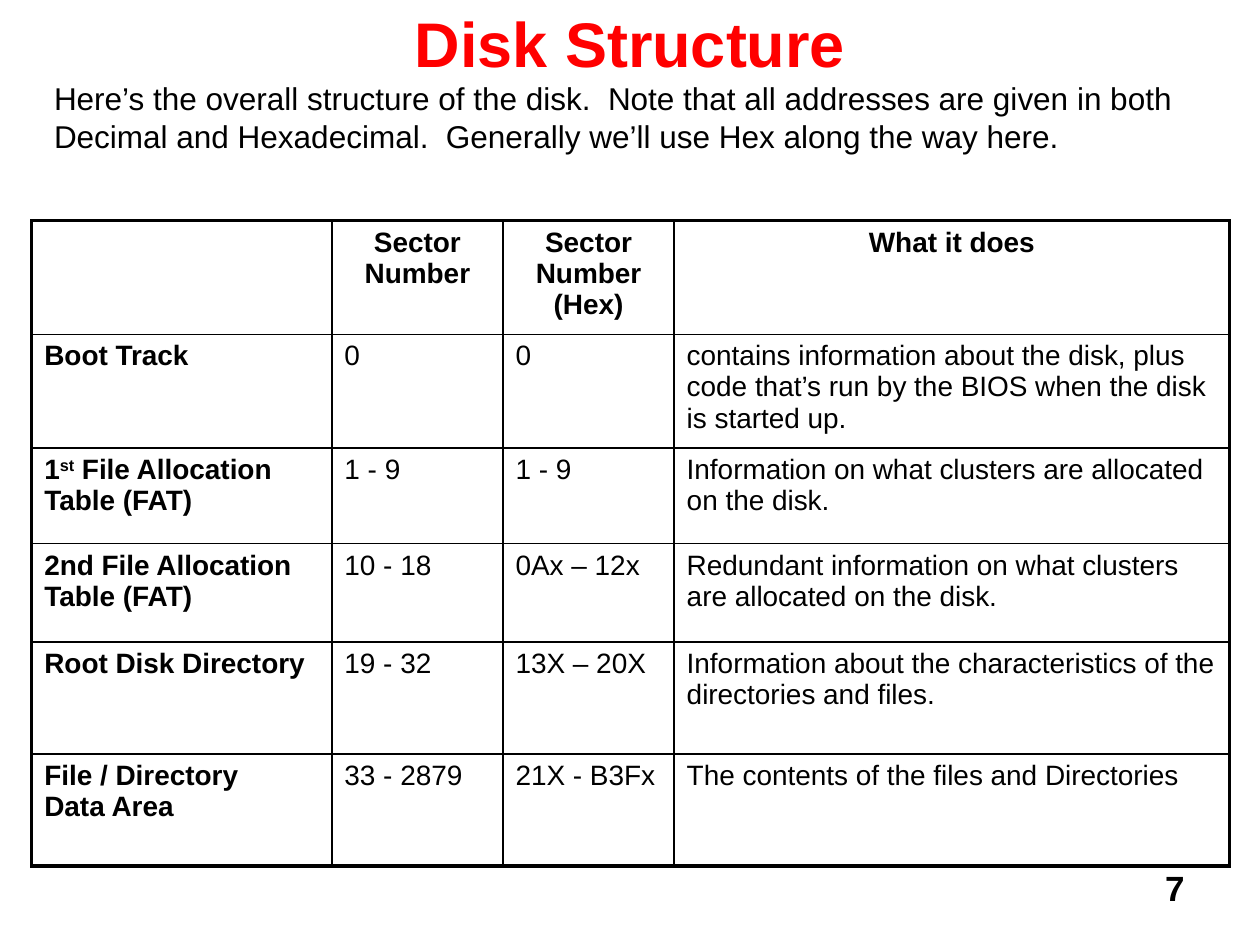
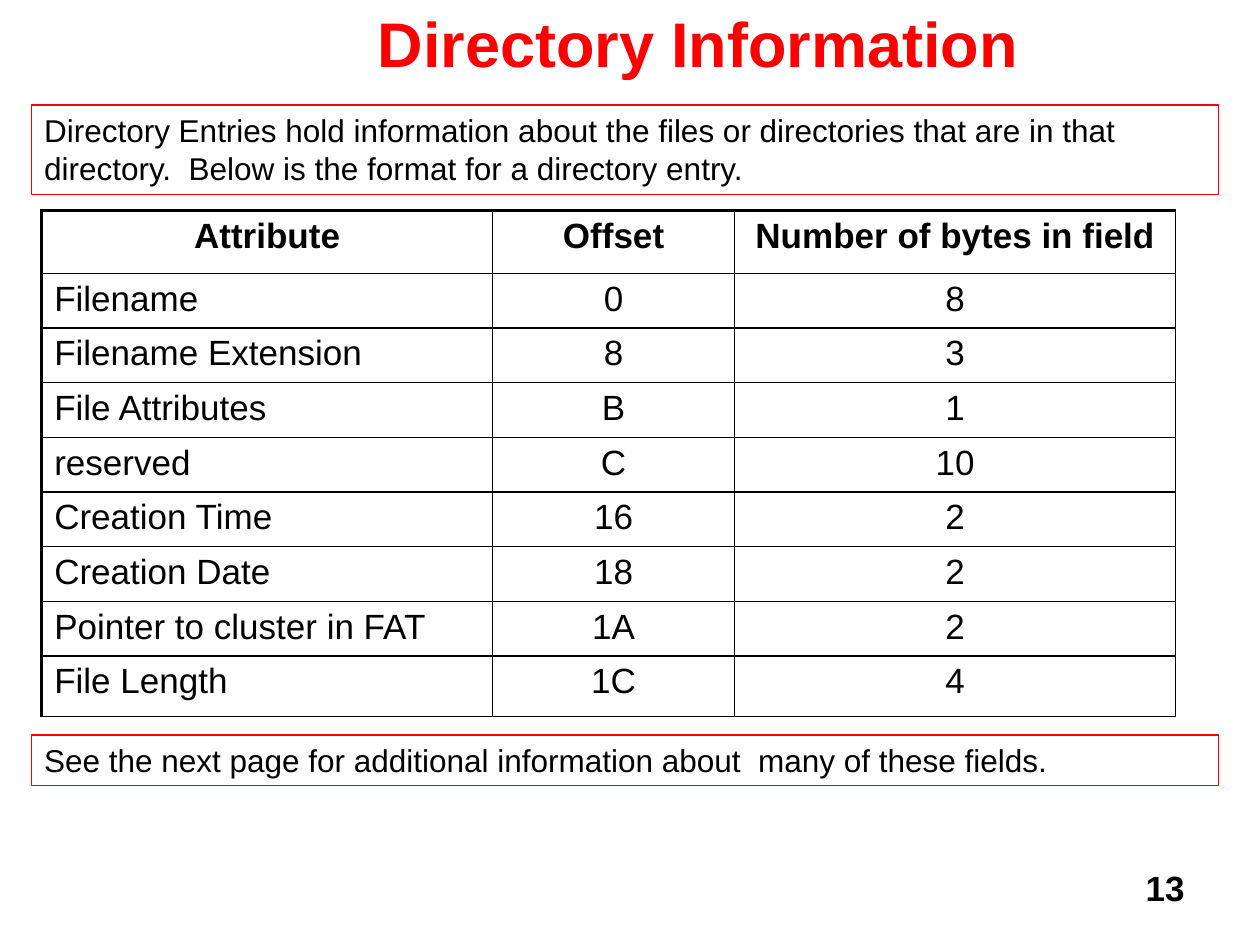
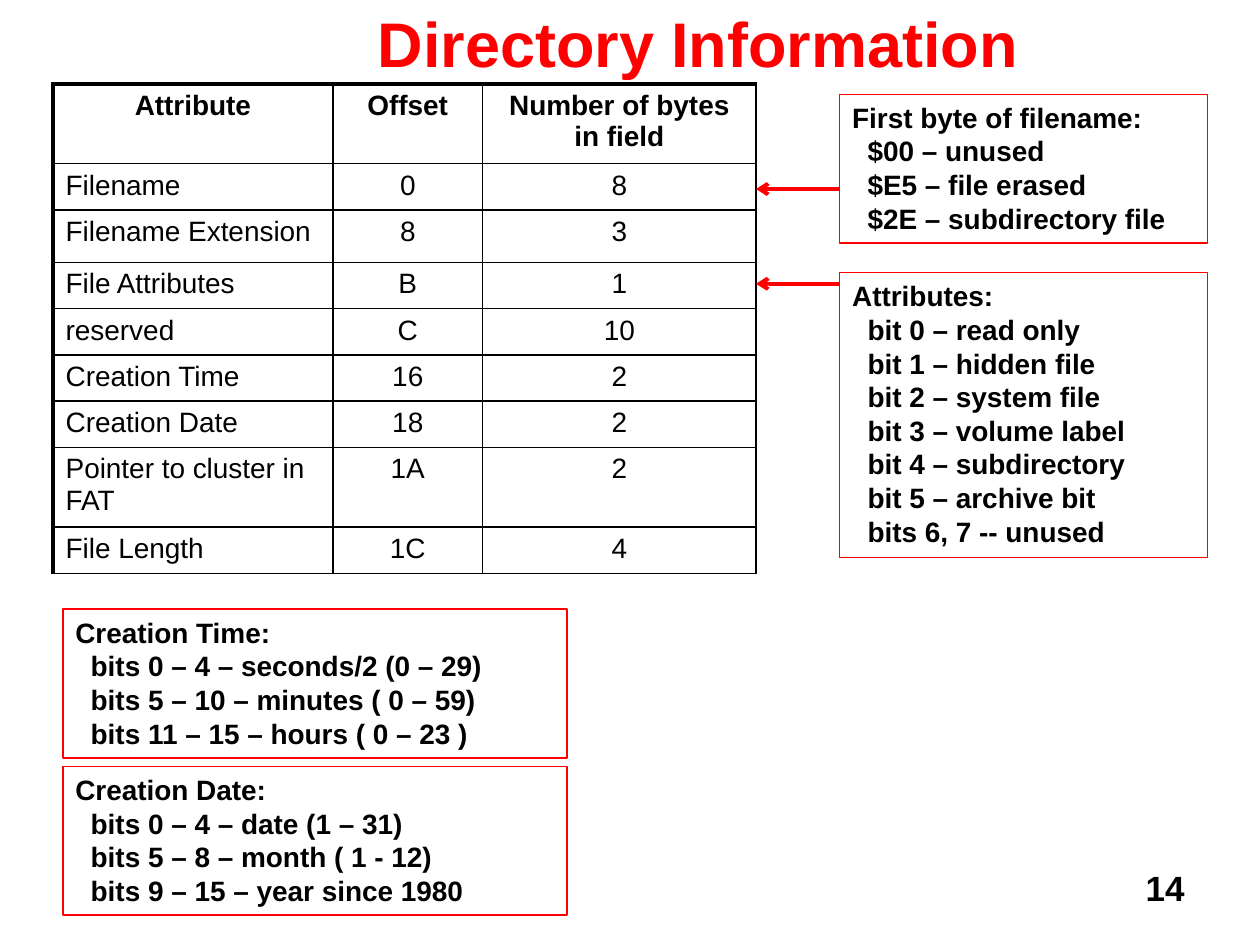
from dataclasses import dataclass

import lxml.etree
import pptx
import pptx.dml.color
import pptx.enum.shapes
import pptx.enum.text
import pptx.oxml
import pptx.oxml.ns
import pptx.presentation
import pptx.shapes.autoshape
import pptx.slide
import pptx.table
import pptx.text.text
import pptx.util

Cm = pptx.util.Cm
Pt = pptx.util.Pt
Align = pptx.enum.text.PP_ALIGN
Anchor = pptx.enum.text.MSO_ANCHOR
qn = pptx.oxml.ns.qn


@dataclass(frozen=True)
class Theme:
    font: str = "Arial"
    ink: str = "000000"
    accent: str = "FF0000"
    title_size: float = 36
    large_size: float = 20
    body_size: float = 18
    small_size: float = 16
    box_line: float = 0.75
    arrow_line: float = 2.25
    thin_border: float = 1
    thick_border: float = 2.25
    list_indent: float = 0.31


THEME = Theme()


@dataclass(frozen=True)
class Area:
    left: float
    top: float
    width: float
    height: float

    def lengths(self) -> tuple[pptx.util.Length, ...]:
        return Cm(self.left), Cm(self.top), Cm(self.width), Cm(self.height)


@dataclass(frozen=True)
class Callout:
    area: Area
    lines: tuple[str, ...]
    size: float = THEME.small_size
    bold: bool = True


@dataclass(frozen=True)
class Grid:
    left: float
    top: float
    columns: tuple[float, ...]
    rows: tuple[float, ...]
    cells: tuple[tuple[str, ...], ...]
    size: float
    thick_sides: str
    centered_columns: tuple[int, ...] = ()
    bold_columns: tuple[int, ...] = ()


DISK_AREAS = (
    ("", "Sector Number", "Sector Number (Hex)", "What it does"),
    ("Boot Track", "0", "0",
     "contains information about the disk, plus code that’s run by the BIOS when the disk is started up."),
    ("1^st^ File Allocation Table (FAT)", "1 - 9", "1 - 9",
     "Information on what clusters are allocated on the disk."),
    ("2nd File Allocation Table (FAT)", "10 - 18", "0Ax – 12x",
     "Redundant information on what clusters are allocated on the disk."),
    ("Root Disk Directory", "19 - 32", "13X – 20X",
     "Information about the characteristics of the directories and files."),
    ("File / Directory\nData Area", "33 - 2879", "21X - B3Fx",
     "The contents of the files and Directories"),
)

DIRECTORY_FIELDS = (
    ("Attribute", "Offset", "Number of bytes in field"),
    ("Filename", "0", "8"),
    ("Filename Extension", "8", "3"),
    ("File Attributes", "B", "1"),
    ("reserved", "C", "10"),
    ("Creation Time", "16", "2"),
    ("Creation Date", "18", "2"),
    ("Pointer to cluster in FAT", "1A", "2"),
    ("File Length", "1C", "4"),
)

DISK_GRID = Grid(
    0.64, 4.45, (6.05, 3.45, 3.45, 11.2), (2.29, 2.29, 1.93, 1.98, 2.26, 2.26),
    DISK_AREAS, THEME.small_size, "LRTB", bold_columns=(0,),
)
WIDE_GRID = Grid(
    0.84, 4.24, (9.09, 4.88, 8.89), (1.27, *[1.1] * 7, 1.22),
    DIRECTORY_FIELDS, THEME.large_size, "LT", centered_columns=(1, 2),
)
COMPACT_GRID = Grid(
    1.07, 1.69, (5.64, 3.02, 5.51), (1.6, 0.93, 1.06, *[0.93] * 4, 1.6, 0.93),
    DIRECTORY_FIELDS, THEME.small_size, "LT", centered_columns=(1, 2),
)

OVERVIEW_CALLOUTS = (
    Callout(Area(0.64, 2.12, 23.93, 1.8),
            ("Directory Entries hold information about the files or directories that are in that directory.  "
             "Below is the format for a directory entry.",), THEME.body_size, False),
    Callout(Area(0.64, 14.82, 23.93, 1.02),
            ("See the next page for additional information about  many of these fields.",),
            THEME.body_size, False),
)
DETAIL_CALLOUTS = (
    Callout(Area(16.93, 1.9, 7.41, 3),
            ("First byte of filename:", "$00 – unused", "$E5 – file erased", "$2E – subdirectory file")),
    Callout(Area(16.93, 5.5, 7.41, 5.74),
            ("Attributes:", "bit 0 – read only", "bit 1 – hidden file", "bit 2 – system file",
             "bit 3 – volume label", "bit 4 – subdirectory", "bit 5 – archive bit",
             "bits 6, 7 -- unused")),
    Callout(Area(1.27, 12.28, 10.16, 3),
            ("Creation Time:", "bits 0 – 4 – seconds/2 (0 – 29)", "bits 5 – 10 – minutes ( 0 – 59)",
             "bits 11 – 15 – hours ( 0 – 23 )")),
    Callout(Area(1.27, 15.45, 10.16, 3),
            ("Creation Date:", "bits 0 – 4 – date (1 – 31)", "bits 5 – 8 – month ( 1 - 12)",
             "bits 9 – 15 – year since 1980")),
)

CENTERED_TITLE = Area(3.81, 0, 17.78, 1.7)
SHIFTED_TITLE = Area(5.08, 0, 17.98, 1.7)
PAGE_NUMBER = Area(18.21, 17.35, 5.92, 1.32)
DISK_INTRO = Area(0.84, 1.47, 23.75, 1.78)
ARROW_START, ARROW_END = 16.93, 15.24
ARROW_HEIGHTS = (3.81, 5.72)


def color(value: str) -> pptx.dml.color.RGBColor:
    return pptx.dml.color.RGBColor.from_string(value)


def write(frame: pptx.text.text.TextFrame, text: str, *, size: float, bold: bool = False,
          ink: str = THEME.ink, align: Align = Align.LEFT, indent: float = 0) -> None:
    frame.word_wrap = True
    for index, line in enumerate(text.split("\n")):
        paragraph = frame.add_paragraph() if index else frame.paragraphs[0]
        paragraph.alignment = align
        if index and indent:
            properties = paragraph._p.get_or_add_pPr()
            properties.set("marL", str(Cm(indent)))
            properties.set("indent", "0")
        for part_index, part in enumerate(line.split("^")):
            run = paragraph.add_run()
            run.text = part
            run.font.name = THEME.font
            run.font.size = Pt(size)
            run.font.bold = bold
            run.font.color.rgb = color(ink)
            if part_index % 2:
                run.font._element.set("baseline", "30000")


def add_text(slide: pptx.slide.Slide, area: Area, text: str, *, anchor: Anchor = Anchor.TOP, **text_format) -> None:
    frame = slide.shapes.add_textbox(*area.lengths()).text_frame
    frame.vertical_anchor = anchor
    write(frame, text, **text_format)


def add_callout(slide: pptx.slide.Slide, callout: Callout) -> None:
    shape = slide.shapes.add_shape(pptx.enum.shapes.MSO_SHAPE.RECTANGLE, *callout.area.lengths())
    shape.shadow.inherit = False
    shape.fill.background()
    shape.line.color.rgb = color(THEME.accent)
    shape.line.width = Pt(THEME.box_line)
    shape.text_frame.vertical_anchor = Anchor.TOP
    write(shape.text_frame, "\n".join(callout.lines), size=callout.size, bold=callout.bold,
          indent=THEME.list_indent)
    shape.text_frame.auto_size = pptx.enum.text.MSO_AUTO_SIZE.SHAPE_TO_FIT_TEXT


def set_borders(cell: pptx.table._Cell, thick_sides: set[str]) -> None:
    properties = cell._tc.get_or_add_tcPr()
    for position, side in enumerate("LRTB"):
        width = THEME.thick_border if side in thick_sides else THEME.thin_border
        border = lxml.etree.Element(qn(f"a:ln{side}"), w=str(Pt(width)))
        fill = lxml.etree.SubElement(border, qn("a:solidFill"))
        lxml.etree.SubElement(fill, qn("a:srgbClr"), val=THEME.ink)
        properties.insert(position, border)


def add_grid(slide: pptx.slide.Slide, grid: Grid) -> None:
    area = Area(grid.left, grid.top, sum(grid.columns), sum(grid.rows))
    table = slide.shapes.add_table(len(grid.rows), len(grid.columns), *area.lengths()).table
    table.first_row = table.horz_banding = False
    for column, width in zip(table.columns, grid.columns):
        column.width = Cm(width)
    for row, height in zip(table.rows, grid.rows):
        row.height = Cm(height)
    for row_index, texts in enumerate(grid.cells):
        for column_index, text in enumerate(texts):
            cell = table.cell(row_index, column_index)
            cell.fill.background()
            is_header = row_index == 0
            edges = {"L": column_index == 0, "R": column_index == len(grid.columns) - 1,
                     "T": is_header, "B": row_index == len(grid.rows) - 1}
            set_borders(cell, {side for side in grid.thick_sides if edges[side]})
            if text:
                centered = is_header or column_index in grid.centered_columns
                write(cell.text_frame, text, size=grid.size,
                      bold=is_header or column_index in grid.bold_columns,
                      align=Align.CENTER if centered else Align.LEFT)


def add_arrow(slide: pptx.slide.Slide, height: float) -> None:
    connector = slide.shapes.add_connector(
        pptx.enum.shapes.MSO_CONNECTOR.STRAIGHT, Cm(ARROW_START), Cm(height), Cm(ARROW_END), Cm(height))
    connector.line.color.rgb = color(THEME.accent)
    connector.line.width = Pt(THEME.arrow_line)
    lxml.etree.SubElement(connector.line._get_or_add_ln(), qn("a:tailEnd"), type="arrow")
    lxml.etree.SubElement(connector._element.spPr, qn("a:effectLst"))


def add_page(presentation: pptx.presentation.Presentation, title: str, title_area: Area,
             number: int) -> pptx.slide.Slide:
    slide = presentation.slides.add_slide(presentation.slide_layouts[6])
    add_text(slide, PAGE_NUMBER, str(number), size=THEME.large_size, bold=True, align=Align.RIGHT)
    add_text(slide, title_area, title, anchor=Anchor.MIDDLE, size=THEME.title_size, bold=True,
             ink=THEME.accent, align=Align.CENTER)
    return slide


def main() -> None:
    presentation = pptx.Presentation()
    presentation.slide_width = Cm(25.4)
    presentation.slide_height = Cm(19.05)

    structure = add_page(presentation, "Disk Structure", CENTERED_TITLE, 7)
    add_text(structure, DISK_INTRO,
             "Here’s the overall structure of the disk.  Note that all addresses are given in both "
             "Decimal and Hexadecimal.  Generally we’ll use Hex along the way here.",
             size=THEME.body_size)
    add_grid(structure, DISK_GRID)

    for number, grid, callouts, arrow_heights in (
        (13, WIDE_GRID, OVERVIEW_CALLOUTS, ()),
        (14, COMPACT_GRID, DETAIL_CALLOUTS, ARROW_HEIGHTS),
    ):
        slide = add_page(presentation, "Directory Information", SHIFTED_TITLE, number)
        add_grid(slide, grid)
        for callout in callouts:
            add_callout(slide, callout)
        for height in arrow_heights:
            add_arrow(slide, height)

    presentation.save("out.pptx")


if __name__ == "__main__":
    main()
